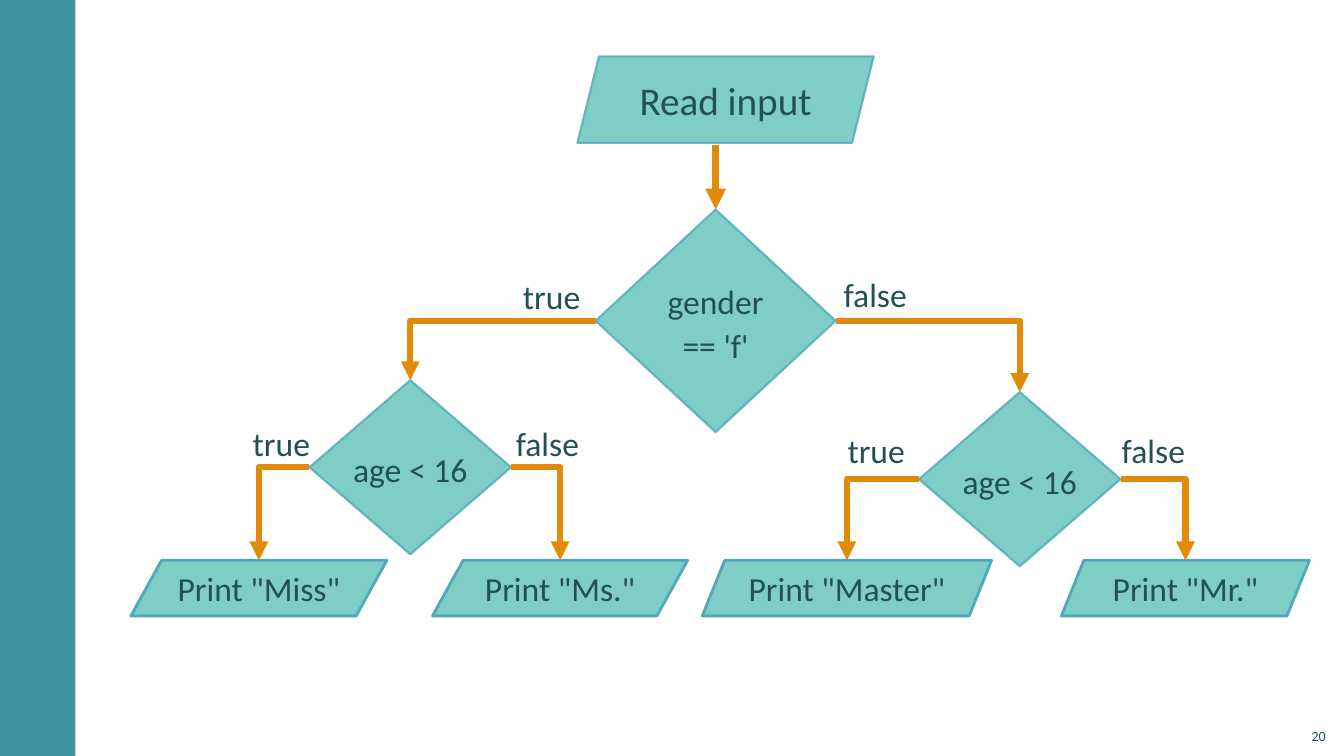
"""Build a flowchart slide that picks a form of address from gender and age."""
from lxml import etree
from pptx import Presentation
from pptx.dml.color import RGBColor
from pptx.enum.shapes import MSO_CONNECTOR as LINK, MSO_SHAPE as SHAPE
from pptx.enum.text import MSO_ANCHOR as ANCHOR, PP_ALIGN as ALIGN
from pptx.oxml.ns import qn
from pptx.util import Cm, Pt

COLORS = {"sidebar": "4193A1", "node": "5EC1B8", "outline": "50A9B8",
          "arrow": "E28B0B", "text": "235057"}
OPACITY = "80000"

prs = Presentation()
prs.slide_width, prs.slide_height = Cm(33.87), Cm(19.05)
slide = prs.slides.add_slide(prs.slide_layouts[6])
shapes = slide.shapes


def write(shape, text, size, align, spacing=1.0):
    frame = shape.text_frame
    frame.text = text
    for paragraph in frame.paragraphs:
        paragraph.alignment = align
        paragraph.line_spacing = spacing
        for run in paragraph.runs:
            run.font.name = "Calibri"
            run.font.size = Pt(size)
            run.font.color.rgb = RGBColor.from_string(COLORS["text"])


def add_node(kind, box, text, size, line_width, faded_line):
    node = shapes.add_shape(kind, *map(Cm, box))
    node.shadow.inherit = False
    node.fill.solid()
    node.fill.fore_color.rgb = RGBColor.from_string(COLORS["node"])
    node.line.color.rgb = RGBColor.from_string(COLORS["outline"])
    node.line.width = Pt(line_width)
    tints = list(node._element.spPr.iter(qn("a:srgbClr")))
    for tint in tints if faded_line else tints[:1]:
        etree.SubElement(tint, qn("a:alpha"), val=OPACITY)
    frame = node.text_frame
    frame.vertical_anchor = ANCHOR.MIDDLE
    if kind == SHAPE.DIAMOND:
        frame.margin_left = frame.margin_right = 0
        frame.margin_top = frame.margin_bottom = 0
        frame.word_wrap = False
        write(node, text, size, ALIGN.CENTER, 1.1)
    else:
        write(node, text, size, ALIGN.CENTER)
    return node


sidebar = shapes.add_shape(SHAPE.RECTANGLE, 0, 0, Cm(1.9), prs.slide_height)
sidebar.shadow.inherit = False
sidebar.fill.solid()
sidebar.fill.fore_color.rgb = RGBColor.from_string(COLORS["sidebar"])
sidebar.line.fill.background()

read_input = add_node(SHAPE.PARALLELOGRAM, (14.55, 1.42, 7.47, 2.18),
                      "Read input", 28, 1.5, True)
gender = add_node(SHAPE.DIAMOND, (15.01, 5.28, 6.05, 5.61),
                  "gender\n== 'f'", 24, 1.5, True)
female_age, male_age = [
    add_node(SHAPE.DIAMOND, (left, top, 5.08, 4.39), "age < 16", 24, 1.5, True)
    for left, top in ((7.8, 9.58), (23.16, 9.88))]

printouts = []
for title, left, width, slant in (("Miss", 3.3, 6.45, 0.552), ("Ms.", 10.9, 6.43, 0.552),
                                  ("Master", 17.7, 7.29, 0.403), ("Mr.", 26.75, 6.25, 0.403)):
    printout = add_node(SHAPE.PARALLELOGRAM, (left, 14.12, width, 1.4),
                        f'Print "{title}"', 24, 2, False)
    printout.adjustments[0] = slant
    printouts.append(printout)
miss, ms, master, mr = printouts

LEFT, RIGHT = 1, 3
arrows = []
for decision, side, target in ((gender, LEFT, female_age), (gender, RIGHT, male_age),
                               (female_age, LEFT, miss), (female_age, RIGHT, ms),
                               (male_age, LEFT, master), (male_age, RIGHT, mr)):
    start_x = decision.left + (decision.width if side == RIGHT else 0)
    branch = shapes.add_connector(LINK.ELBOW, start_x, decision.top + decision.height // 2,
                                  target.left + target.width // 2, target.top)
    branch._element.spPr.find(qn("a:prstGeom")).set("prst", "bentConnector2")
    arrows.append((branch, 4.5))

entry_x = gender.left + gender.width // 2
entry = shapes.add_connector(LINK.STRAIGHT, entry_x, Cm(3.66), entry_x, gender.top)
entry.end_connect(gender, 0)
arrows.append((entry, 5))

for arrow, width in arrows:
    arrow.line.color.rgb = RGBColor.from_string(COLORS["arrow"])
    arrow.line.width = Pt(width)
    etree.SubElement(arrow.line._get_or_add_ln(), qn("a:tailEnd"), type="triangle")
    etree.SubElement(arrow._element.spPr, qn("a:effectLst"))

for answer, left, top in (("true", 12.93, 6.83), ("false", 21.01, 6.78),
                          ("true", 6.12, 10.52), ("false", 12.75, 10.52),
                          ("true", 21.11, 10.72), ("false", 28.02, 10.72)):
    label = shapes.add_textbox(Cm(left), Cm(top), Cm(2.4), Cm(1.27))
    label.text_frame.word_wrap = True
    write(label, answer, 24, ALIGN.LEFT)

page_number = shapes.add_textbox(Cm(32.64), Cm(18.08), Cm(1.02), Cm(0.81))
page_number.text_frame.word_wrap = True
page_number.text_frame.vertical_anchor = ANCHOR.BOTTOM
write(page_number, "20", 10, ALIGN.RIGHT)

prs.save("out.pptx")
